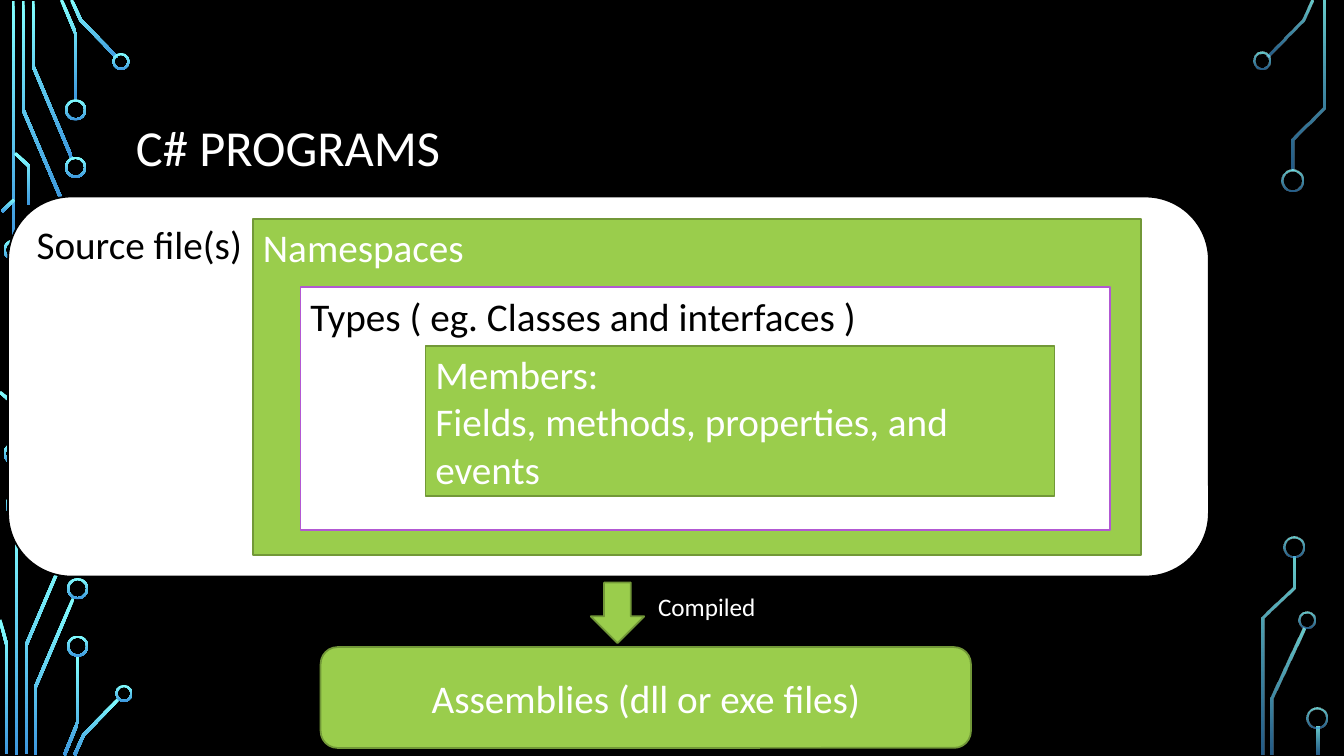
"""Build a slide on the nested structure of C# programs, framed by circuit traces."""
from lxml import etree
from pptx import Presentation
from pptx.dml.color import RGBColor
from pptx.enum.shapes import MSO_SHAPE
from pptx.enum.text import MSO_ANCHOR, PP_ALIGN
from pptx.oxml.ns import qn
from pptx.util import Inches, Pt

RECTANGLE, ROUNDED = MSO_SHAPE.RECTANGLE, MSO_SHAPE.ROUNDED_RECTANGLE
DONUT, DOWN_ARROW = MSO_SHAPE.DONUT, MSO_SHAPE.DOWN_ARROW
TOP, MIDDLE = MSO_ANCHOR.TOP, MSO_ANCHOR.MIDDLE
LEFT, CENTER = PP_ALIGN.LEFT, PP_ALIGN.CENTER
FONT = "Calibri"
TRACE_WIDTH = 0.03
RING_WIDTH = 0.02
COLORS = {
    "black": "000000", "white": "FFFFFF", "green": "9ACD4C", "dark green": "729838",
    "purple": "B258D3", "cyan": "82FFFF", "blue": "3D97DE",
}

LEFT_TRACES = [
    [(0.13, 0.01), (0.13, 2.4)],
    [(0.23, 0.01), (0.23, 1.09), (0.61, 1.98)],
    [(0.33, 0.01), (0.33, 0.66), (0.71, 1.56)],
    [(0.61, 0), (0.75, 0.33), (0.75, 1)],
    [(0.71, 0), (0.8, 0.2), (1.16, 0.57)],
    [(0.02, 2.1), (0.14, 1.98)],
    [(0, 3.89), (0.14, 4.01), (0.14, 4.41)],
    [(0.15, 1.52), (0.29, 1.65), (0.29, 2.03)],
    [(0.16, 5.1), (0.16, 7.49)],
    [(0.64, 5.51), (0.26, 6.4), (0.26, 7.48)],
    [(0, 6.15), (0.07, 6.41), (0.07, 7.48)],
    [(0.73, 5.93), (0.35, 6.82), (0.35, 7.49)],
    [(0.77, 6.5), (0.77, 7.17), (0.64, 7.49)],
    [(1.18, 6.93), (0.83, 7.29), (0.74, 7.49)],
]
RIGHT_TRACES = [
    [(12.57, 0.56), (12.92, 0.2), (13.01, 0)],
    [(12.93, 6.23), (12.62, 6.93), (12.62, 7.49)],
    [(13.13, 0.01), (13.13, 1.07), (12.82, 1.38), (12.82, 1.69)],
    [(12.83, 5.52), (12.83, 5.83), (12.53, 6.13), (12.53, 7.49)],
    [(13.07, 7.21), (13.07, 7.49)],
]
LEFT_RINGS = [
    (0.14, 2.48, 0.21), (0.14, 4.5, 0.21), (0.75, 1.66, 0.21), (0.75, 1.09, 0.21),
    (1.2, 0.61, 0.17), (0.16, 5.01, 0.21), (0.77, 5.84, 0.21), (0.77, 6.41, 0.21),
    (1.23, 6.88, 0.17),
]
RIGHT_RINGS = [
    (12.52, 0.6, 0.17), (12.82, 1.79, 0.21), (12.96, 6.15, 0.17),
    (12.83, 5.43, 0.21), (13.06, 7.12, 0.21),
]
BLOCKS = [
    (ROUNDED, (3.18, 6.42, 6.45, 1), "green", "dark green", "white", MIDDLE, CENTER,
     ["Assemblies (dll or exe files)"]),
    (ROUNDED, (0.08, 1.95, 11.91, 3.77), "white", "black", "black", TOP, LEFT,
     ["Source file(s)"]),
    (RECTANGLE, (2.51, 2.17, 8.81, 3.34), "green", "dark green", "white", TOP, LEFT,
     ["Namespaces"]),
    (RECTANGLE, (2.98, 2.85, 8.03, 2.41), "white", "purple", "black", TOP, LEFT,
     ["Types ( eg. Classes and interfaces )"]),
    (DOWN_ARROW, (5.86, 5.78, 0.53, 0.6), "green", "dark green", "white", MIDDLE, CENTER, []),
    (RECTANGLE, (4.22, 3.43, 6.24, 1.49), "green", "dark green", "white", TOP, LEFT,
     ["Members:", "Fields, methods, properties, and events"]),
]
LABELS = [
    ((1.25, 0.68, 10.83, 1.62), "C# PROGRAMS", 36, MIDDLE, LEFT, 0.9),
    ((5.51, 5.82, 3, 0.4), "Compiled", 18, TOP, CENTER, 1),
]


def ribbon_outline(points):
    """Return the mitred outline of a trace that follows the points."""
    line = [complex(*point) for point in points]
    normals = [1j * (end - start) / abs(end - start) for start, end in zip(line, line[1:])]
    offsets = []
    for before, after in zip(normals[:1] + normals, normals + normals[-1:]):
        miter = (before + after) / (1 + (before * after.conjugate()).real)
        offsets.append(miter * TRACE_WIDTH / 2)
    near = [point + offset for point, offset in zip(line, offsets)]
    far = [point - offset for point, offset in zip(line, offsets)]
    return [(Inches(point.real), Inches(point.imag)) for point in near + far[::-1]]


def write_text(frame, lines, size, color, anchor, align, spacing=1):
    """Fill a text frame with evenly styled paragraphs."""
    frame.word_wrap = True
    frame.vertical_anchor = anchor
    for index, line in enumerate(lines):
        para = frame.add_paragraph() if index else frame.paragraphs[0]
        para.text = line
        para.alignment = align
        para.line_spacing = spacing
        para.font.name = FONT
        para.font.size = Pt(size)
        para.font.color.rgb = RGBColor.from_string(COLORS[color])


deck = Presentation()
deck.slide_width, deck.slide_height = Inches(13.33), Inches(7.5)
page = deck.slides.add_slide(deck.slide_layouts[6])
page.background.fill.solid()
page.background.fill.fore_color.rgb = RGBColor.from_string(COLORS["black"])

for traces, rings, opacities in [
    (LEFT_TRACES, LEFT_RINGS, (100, 100)),
    (RIGHT_TRACES, RIGHT_RINGS, (80, 60)),
]:
    circuit = []
    for trace in traces:
        outline = ribbon_outline(trace)
        builder = page.shapes.build_freeform(*outline[0], scale=1.0)
        builder.add_line_segments(outline[1:], close=True)
        circuit.append(builder.convert_to_shape())
    for x, y, size in rings:
        ring = page.shapes.add_shape(
            DONUT, Inches(x - size / 2), Inches(y - size / 2), Inches(size), Inches(size))
        ring.adjustments[0] = RING_WIDTH / size
        circuit.append(ring)
    for part in circuit:
        part.shadow.inherit = False
        part.line.fill.background()
        part.fill.gradient()
        part.fill.gradient_angle = 270
        for stop, color, position in zip(part.fill.gradient_stops, ("cyan", "blue"), (0, 1)):
            stop.color.rgb = RGBColor.from_string(COLORS[color])
            stop.position = position
        for tint, opacity in zip(part._element.iter(qn("a:srgbClr")), opacities):
            etree.SubElement(tint, qn("a:alpha"), val=str(opacity * 1000))

for kind, place, fill, border, ink, anchor, align, lines in BLOCKS:
    block = page.shapes.add_shape(kind, *map(Inches, place))
    block.shadow.inherit = False
    block.fill.solid()
    block.fill.fore_color.rgb = RGBColor.from_string(COLORS[fill])
    block.line.color.rgb = RGBColor.from_string(COLORS[border])
    block.line.width = Pt(1.25)
    write_text(block.text_frame, lines, 28, ink, anchor, align)

for place, label, size, anchor, align, spacing in LABELS:
    box = page.shapes.add_textbox(*map(Inches, place))
    write_text(box.text_frame, [label], size, "white", anchor, align, spacing)

deck.save("out.pptx")
